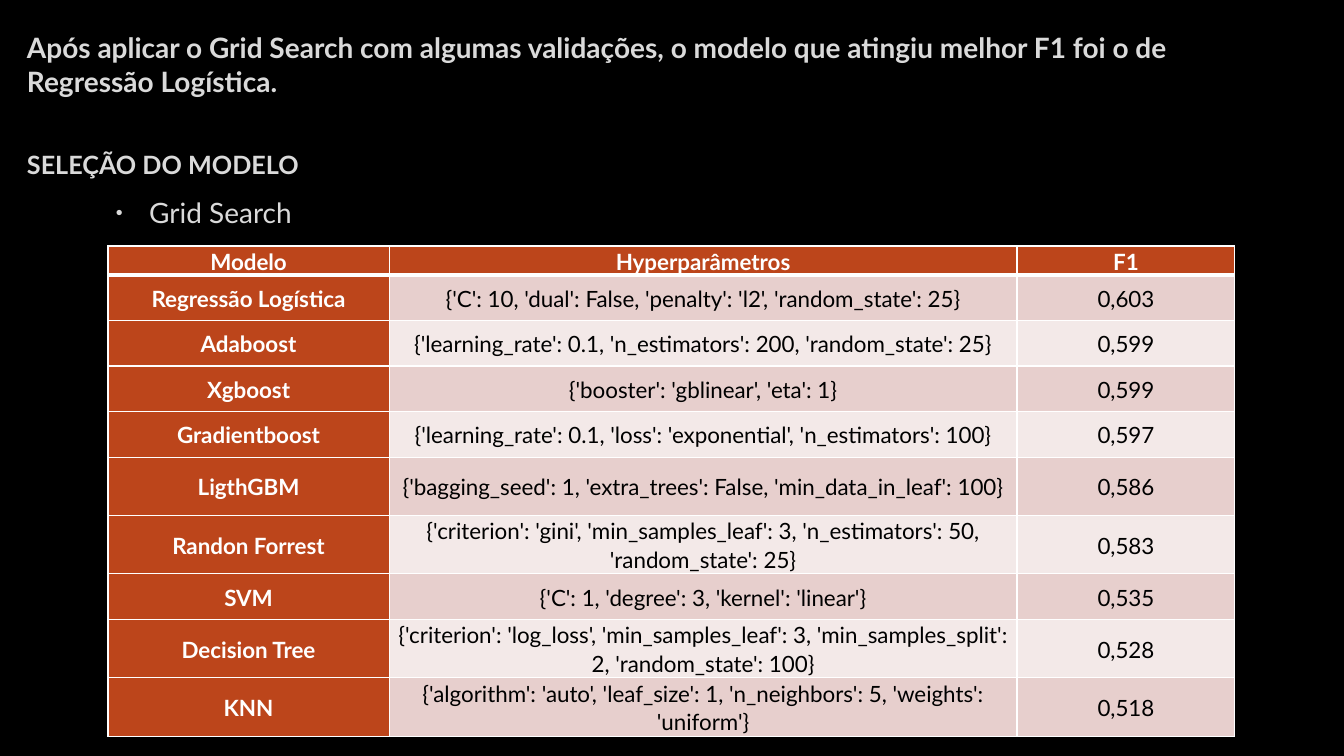
import pptx
import pptx.dml.color
import pptx.enum.text
import pptx.oxml
import pptx.oxml.ns
import pptx.util
from pptx.dml.color import RGBColor
from pptx.util import Cm

BLACK = RGBColor(0x00, 0x00, 0x00)
WHITE = RGBColor(0xFF, 0xFF, 0xFF)
GRAY = RGBColor(0xDA, 0xDA, 0xDA)
RUST = RGBColor(0xBC, 0x45, 0x1B)
ROSE = RGBColor(0xE7, 0xCF, 0xCD)
PALE = RGBColor(0xF3, 0xE9, 0xE8)

ALIGN = pptx.enum.text.PP_ALIGN
ANCHOR = pptx.enum.text.MSO_ANCHOR
NS = pptx.oxml.ns.nsdecls("a")


def write(frame, text, size=16, color=GRAY, bold=False, align=ALIGN.LEFT,
          lines=None, after=0):
    """Put text in the frame's first paragraph and return that paragraph."""
    frame.word_wrap = True
    para = frame.paragraphs[0]
    para.alignment = align
    para.line_spacing = lines
    para.space_after = pptx.util.Pt(after)
    run = para.add_run()
    run.text = text
    run.font.name = "Lato"
    run.font.size = pptx.util.Pt(size)
    run.font.bold = bold
    run.font.color.rgb = color
    return para


def edge(cell, top, bottom):
    """Draw white borders, with top and bottom widths in points."""
    props = cell._tc.get_or_add_tcPr()
    sides = {"L": 1, "R": 1, "T": top, "B": bottom}
    for spot, (side, width) in enumerate(sides.items()):
        props.insert(spot, pptx.oxml.parse_xml(
            f'<a:ln{side} {NS} w="{pptx.util.Pt(width)}"><a:solidFill>'
            f'<a:srgbClr val="{WHITE}"/></a:solidFill></a:ln{side}>'))


deck = pptx.Presentation()
deck.slide_width = Cm(33.87)
deck.slide_height = Cm(19.05)
slide = deck.slides.add_slide(deck.slide_layouts[6])
slide.background.fill.solid()
slide.background.fill.fore_color.rgb = BLACK

# Headings
title = slide.shapes.add_textbox(Cm(0.43), Cm(0.28), Cm(31.98), Cm(2.69))
title.text_frame.vertical_anchor = ANCHOR.MIDDLE
write(title.text_frame,
      "Após aplicar o Grid Search com algumas validações, o modelo que "
      "atingiu melhor F1 foi o de Regressão Logística.", size=20, bold=True)

body = slide.shapes.add_textbox(Cm(2.54), Cm(4.8), Cm(28.75), Cm(13.03))
item = write(body.text_frame, "Grid Search", size=20, after=6)
props = item._p.get_or_add_pPr()
props.set("marL", str(Cm(0.97)))
props.set("indent", str(Cm(-0.84)))
for mark in (f'<a:buClr {NS}><a:srgbClr val="{GRAY}"/></a:buClr>',
             f'<a:buSzPct {NS} val="70000"/>',
             f'<a:buFont {NS} typeface="Arial"/>',
             f'<a:buChar {NS} char="•"/>'):
    props.append(pptx.oxml.parse_xml(mark))

head = slide.shapes.add_textbox(Cm(0.43), Cm(3.66), Cm(28.75), Cm(0.97))
head.text_frame.vertical_anchor = ANCHOR.MIDDLE
write(head.text_frame, "SELEÇÃO DO MODELO", size=18, bold=True)

# Model scores
SHORT, TALL = 1.15, 1.47
rows = [
    (0.71, "Modelo", "Hyperparâmetros", "F1"),
    (SHORT, "Regressão Logística",
     "{'C': 10, 'dual': False, 'penalty': 'l2', 'random_state': 25}", "0,603"),
    (SHORT, "Adaboost",
     "{'learning_rate': 0.1, 'n_estimators': 200, 'random_state': 25}", "0,599"),
    (SHORT, "Xgboost", "{'booster': 'gblinear', 'eta': 1}", "0,599"),
    (SHORT, "Gradientboost",
     "{'learning_rate': 0.1, 'loss': 'exponential', 'n_estimators': 100}", "0,597"),
    (TALL, "LigthGBM",
     "{'bagging_seed': 1, 'extra_trees': False, 'min_data_in_leaf': 100}", "0,586"),
    (TALL, "Randon Forrest",
     "{'criterion': 'gini', 'min_samples_leaf': 3, 'n_estimators': 50, "
     "'random_state': 25}", "0,583"),
    (SHORT, "SVM", "{'C': 1, 'degree': 3, 'kernel': 'linear'}", "0,535"),
    (TALL, "Decision Tree",
     "{'criterion': 'log_loss', 'min_samples_leaf': 3, 'min_samples_split': 2, "
     "'random_state': 100}", "0,528"),
    (TALL, "KNN",
     "{'algorithm': 'auto', 'leaf_size': 1, 'n_neighbors': 5, "
     "'weights': 'uniform'}", "0,518"),
]
table = slide.shapes.add_table(len(rows), 3, Cm(2.72), Cm(6.2),
                               Cm(28.37), Cm(12.3)).table
table.first_col = True
for col, width in zip(table.columns, (7.09, 15.82, 5.49)):
    col.width = Cm(width)

for r, (height, *texts) in enumerate(rows):
    table.rows[r].height = Cm(height)
    for c, text in enumerate(texts):
        cell = table.cell(r, c)
        label = r == 0 or c == 0
        cell.margin_left = cell.margin_right = Cm(0.13)
        cell.margin_top = cell.margin_bottom = 0
        cell.vertical_anchor = ANCHOR.MIDDLE if r else ANCHOR.BOTTOM
        cell.fill.solid()
        cell.fill.fore_color.rgb = RUST if label else (PALE, ROSE)[r % 2]
        edge(cell, top=3 if r == 1 else 1, bottom=1 if r else 3)
        write(cell.text_frame, text, color=WHITE if label else BLACK,
              bold=label, align=ALIGN.CENTER, lines=1.07, after=8)

deck.save("out.pptx")
